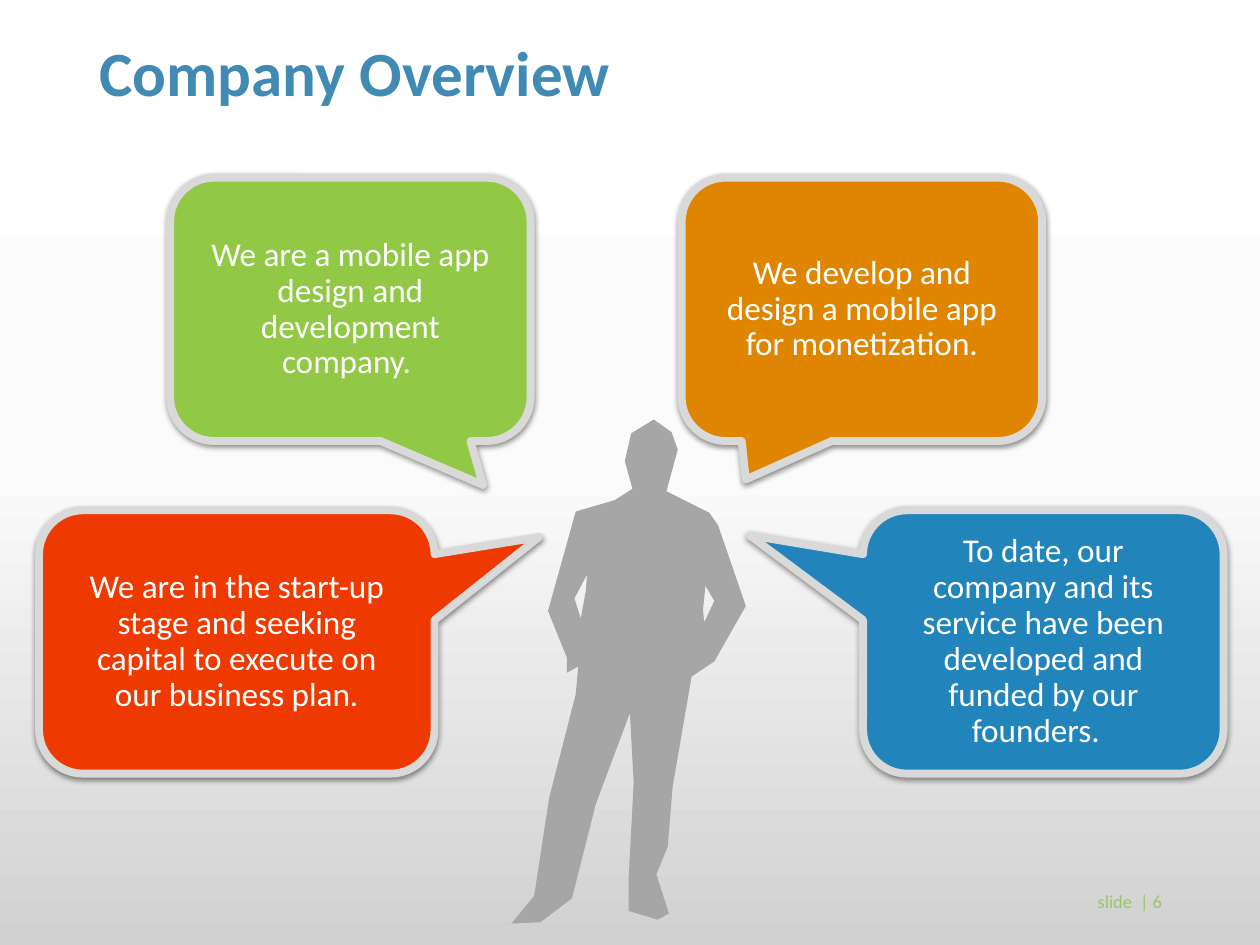
"""Build the Company Overview slide: four speech callouts around a standing figure."""
import copy
from dataclasses import dataclass

import lxml.etree
import pptx
import pptx.dml.color
import pptx.enum.shapes
import pptx.enum.text
import pptx.oxml.ns
import pptx.util

Pt = pptx.util.Pt
RGB = pptx.dml.color.RGBColor.from_string
qn = pptx.oxml.ns.qn
ALIGN = pptx.enum.text.PP_ALIGN


@dataclass(frozen=True)
class Theme:
    font: str = "Calibri"
    title: str = "418AB3"
    green: str = "91C946"
    orange: str = "DF8500"
    red: str = "EE3900"
    blue: str = "2185BC"
    border: str = "D9D9D9"
    figure: str = "A6A6A6"
    text: str = "FFFFFF"
    footer: str = "9CC565"
    backdrop: tuple = ((0, "FFFFFF"), (0.5, "FBFBFB"), (1, "D1D1D1"))
    title_size: float = 36
    body_size: float = 19
    footer_size: float = 10.5


theme = Theme()


def write(shape, text, size, color, align, spacing=None, bold=False):
    tf = shape.text_frame
    tf.auto_size = pptx.enum.text.MSO_AUTO_SIZE.NONE
    tf.word_wrap = True
    tf.vertical_anchor = pptx.enum.text.MSO_ANCHOR.MIDDLE
    p = tf.paragraphs[0]
    p.text = text
    p.alignment = align
    p.line_spacing = spacing
    p.font.name = theme.font
    p.font.size = Pt(size)
    p.font.bold = bold
    p.font.color.rgb = RGB(color)


def add_shadow(shape):
    shape.shadow.inherit = False
    effects = shape.element.spPr.find(qn("a:effectLst"))
    shadow = lxml.etree.SubElement(
        effects, qn("a:outerShdw"), blurRad=str(Pt(3.5)), dist=str(Pt(1.1)),
        dir="5400000", algn="t", rotWithShape="0")
    color = lxml.etree.SubElement(shadow, qn("a:srgbClr"), val="000000")
    lxml.etree.SubElement(color, qn("a:alpha"), val="45000")


prs = pptx.Presentation()
prs.slide_width, prs.slide_height = Pt(720), Pt(540)
s = prs.slides.add_slide(prs.slide_layouts[5])

fill = s.background.fill
fill.gradient()
fill.gradient_angle = 270
stops = s.element.find(".//" + qn("a:gsLst"))
stops.insert(1, copy.deepcopy(stops[0]))
for stop, (position, color) in zip(fill.gradient_stops, theme.backdrop):
    stop.position = position
    stop.color.rgb = RGB(color)

title = s.shapes.title
title.left, title.top, title.width, title.height = Pt(49.7), Pt(20.9), Pt(620.6), Pt(45.4)
write(title, "Company Overview", theme.title_size, theme.title, ALIGN.LEFT, 0.9, True)

upper, lower = 101.5, 291.6
callouts = [
    (97.2, upper, 206, (0.368, 0.667), theme.green,
     "We are a mobile app design and development company. "),
    (389.5, upper, 206, (-0.322, 0.646), theme.orange,
     "We develop and design a mobile app for monetization."),
    (22.3, lower, 226, (0.764, -0.398), theme.red,
     "We are in the start-up stage and seeking capital to execute on our business plan."),
    (493.2, lower, 206, (-0.815, -0.405), theme.blue,
     "To date, our company and its service have been developed and funded by our founders.  "),
]
for left, top, width, tip, color, text in callouts:
    sp = s.shapes.add_shape(
        pptx.enum.shapes.MSO_SHAPE.ROUNDED_RECTANGULAR_CALLOUT,
        Pt(left), Pt(top), Pt(width), Pt(150.5))
    sp.adjustments[0], sp.adjustments[1] = tip
    sp.adjustments[2] = 0.167
    sp.fill.solid()
    sp.fill.fore_color.rgb = RGB(color)
    sp.line.color.rgb = RGB(theme.border)
    sp.line.width = Pt(4.5)
    add_shadow(sp)
    tf = sp.text_frame
    tf.margin_left = tf.margin_top = tf.margin_right = tf.margin_bottom = Pt(13)
    write(sp, text, theme.body_size, theme.text, ALIGN.CENTER, 0.9)

footer = s.shapes.add_textbox(Pt(614.2), Pt(500.4), Pt(56.9), Pt(28.8))
write(footer, " slide  | 6", theme.footer_size, theme.footer, ALIGN.RIGHT)

body = [
    (519, 333), (533, 343), (538, 357), (529, 390), (563, 407), (570, 417),
    (592, 481), (567, 525), (549, 537), (534, 624), (530, 672), (521, 694),
    (531, 725), (522, 730), (499, 723), (499, 697), (503, 621), (500, 566),
    (473, 638), (454, 713), (429, 732), (406, 733), (424, 711), (436, 633),
    (457, 551), (459, 529), (450, 534), (450, 522), (435, 485), (457, 406),
    (488, 397), (502, 388), (496, 366), (501, 344),
]
arm_gaps = [
    [(466, 456), (456, 475), (461, 491), (465, 469)],
    [(560, 465), (567, 477), (559, 494), (558, 484)],
]
outline = s.shapes.build_freeform(*body[0], scale=Pt(0.72))
outline.add_line_segments(body[1:], close=True)
for gap in arm_gaps:
    outline.move_to(*gap[0])
    outline.add_line_segments(gap[1:], close=True)
figure = outline.convert_to_shape()
figure.shadow.inherit = False
figure.fill.solid()
figure.fill.fore_color.rgb = RGB(theme.figure)
figure.line.fill.background()

prs.save("out.pptx")
